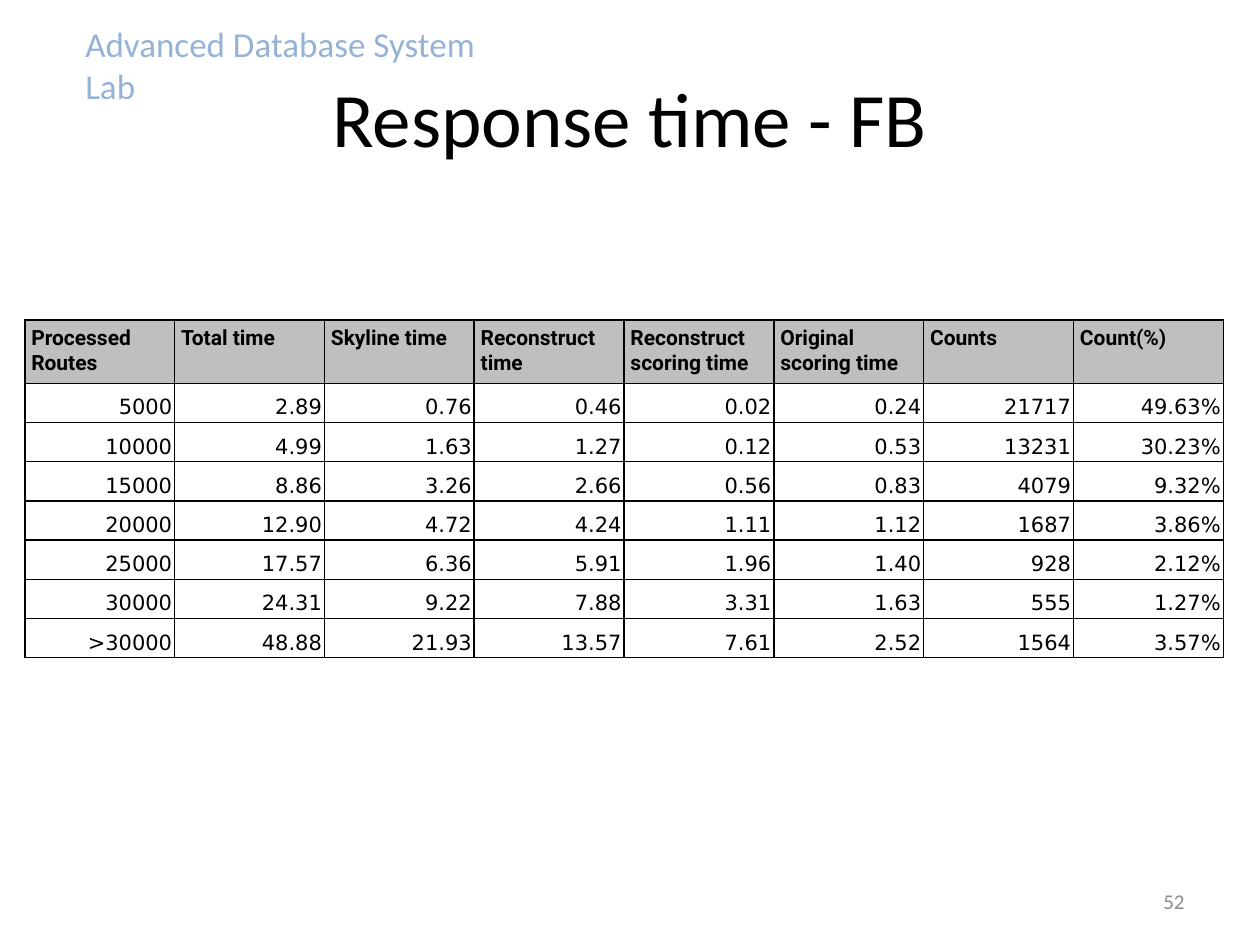
from dataclasses import dataclass

from lxml.etree import SubElement
from pptx import Presentation
from pptx.dml.color import RGBColor
from pptx.enum.text import MSO_ANCHOR, PP_ALIGN
from pptx.oxml.ns import qn
from pptx.util import Cm, Pt


@dataclass(frozen=True)
class Label:
    text: str
    left: float
    top: float
    width: float
    height: float
    size: int
    color: str
    align: PP_ALIGN = PP_ALIGN.LEFT
    anchor: MSO_ANCHOR = MSO_ANCHOR.MIDDLE


@dataclass(frozen=True)
class Style:
    font: str
    bold: bool
    align: PP_ALIGN
    anchor: MSO_ANCHOR
    inset: float
    fill: str = ""


LABELS = [
    Label("Advanced Database System Lab", 1.47, 0.33, 8.81, 1.12, 20, "95B3D7",
          anchor=MSO_ANCHOR.TOP),
    Label("Response time - FB", 1.27, 0.76, 22.86, 3.18, 44, "000000", PP_ALIGN.CENTER),
    Label("52", 18.21, 17.65, 5.92, 1.02, 12, "8C8C8C", PP_ALIGN.RIGHT),
]

HEAD = Style("Roboto", True, PP_ALIGN.LEFT, MSO_ANCHOR.TOP, 0.13, "BEC0BF")
BODY = Style("DejaVu Sans", False, PP_ALIGN.RIGHT, MSO_ANCHOR.BOTTOM, 0.05)

ROWS = [
    ["Processed Routes", "Total time", "Skyline time", "Reconstruct time",
     "Reconstruct scoring time", "Original scoring time", "Counts", "Count(%)"],
    ["5000", "2.89", "0.76", "0.46", "0.02", "0.24", "21717", "49.63%"],
    ["10000", "4.99", "1.63", "1.27", "0.12", "0.53", "13231", "30.23%"],
    ["15000", "8.86", "3.26", "2.66", "0.56", "0.83", "4079", "9.32%"],
    ["20000", "12.90", "4.72", "4.24", "1.11", "1.12", "1687", "3.86%"],
    ["25000", "17.57", "6.36", "5.91", "1.96", "1.40", "928", "2.12%"],
    ["30000", "24.31", "9.22", "7.88", "3.31", "1.63", "555", "1.27%"],
    [">30000", "48.88", "21.93", "13.57", "7.61", "2.52", "1564", "3.57%"],
]
LEFT, TOP = 0.5, 6.45
COL, HIGH, LOW = 3.02, 1.27, 0.79


def paint(target, color: str) -> None:
    target.rgb = RGBColor.from_string(color)


def write(frame, text: str, *, font: str = "Calibri", size: int = 12,
          color: str = "000000", bold: bool = False,
          align: PP_ALIGN = PP_ALIGN.LEFT) -> None:
    frame.word_wrap = True
    line = frame.paragraphs[0]
    line.alignment = align
    run = line.add_run()
    run.text = text
    run.font.name = font
    run.font.size = Pt(size)
    run.font.bold = bold
    paint(run.font.color, color)


def border(cell, color: str = "000000", width: float = 1) -> None:
    props = cell._tc.get_or_add_tcPr()
    for side in ("a:lnL", "a:lnR", "a:lnT", "a:lnB"):
        edge = SubElement(props, qn(side), w=str(Pt(width)))
        fill = SubElement(edge, qn("a:solidFill"))
        SubElement(fill, qn("a:srgbClr"), val=color)


def draw_label(slide, label: Label) -> None:
    box = slide.shapes.add_textbox(
        Cm(label.left), Cm(label.top), Cm(label.width), Cm(label.height))
    box.text_frame.vertical_anchor = label.anchor
    write(box.text_frame, label.text, size=label.size, color=label.color,
          align=label.align)


def draw_cell(cell, text: str, style: Style) -> None:
    inset = Cm(style.inset)
    cell.margin_left = cell.margin_right = inset
    cell.margin_top = cell.margin_bottom = inset
    cell.vertical_anchor = style.anchor
    border(cell)
    if style.fill:
        cell.fill.solid()
        paint(cell.fill.fore_color, style.fill)
    else:
        cell.fill.background()
    write(cell.text_frame, text, font=style.font, bold=style.bold, align=style.align)


def draw_table(slide, rows: list[list[str]]) -> None:
    count, width = len(rows), len(rows[0])
    table = slide.shapes.add_table(
        count, width, Cm(LEFT), Cm(TOP), Cm(COL * width),
        Cm(HIGH + LOW * (count - 1))).table
    table.horz_banding = False
    for col in table.columns:
        col.width = Cm(COL)
    for i, row in enumerate(rows):
        table.rows[i].height = Cm(LOW if i else HIGH)
        for j, text in enumerate(row):
            draw_cell(table.cell(i, j), text, BODY if i else HEAD)


def main() -> None:
    deck = Presentation()
    deck.slide_width, deck.slide_height = Cm(25.4), Cm(19.05)
    slide = deck.slides.add_slide(deck.slide_layouts[6])
    for label in LABELS:
        draw_label(slide, label)
    draw_table(slide, ROWS)
    deck.save("out.pptx")


if __name__ == "__main__":
    main()
